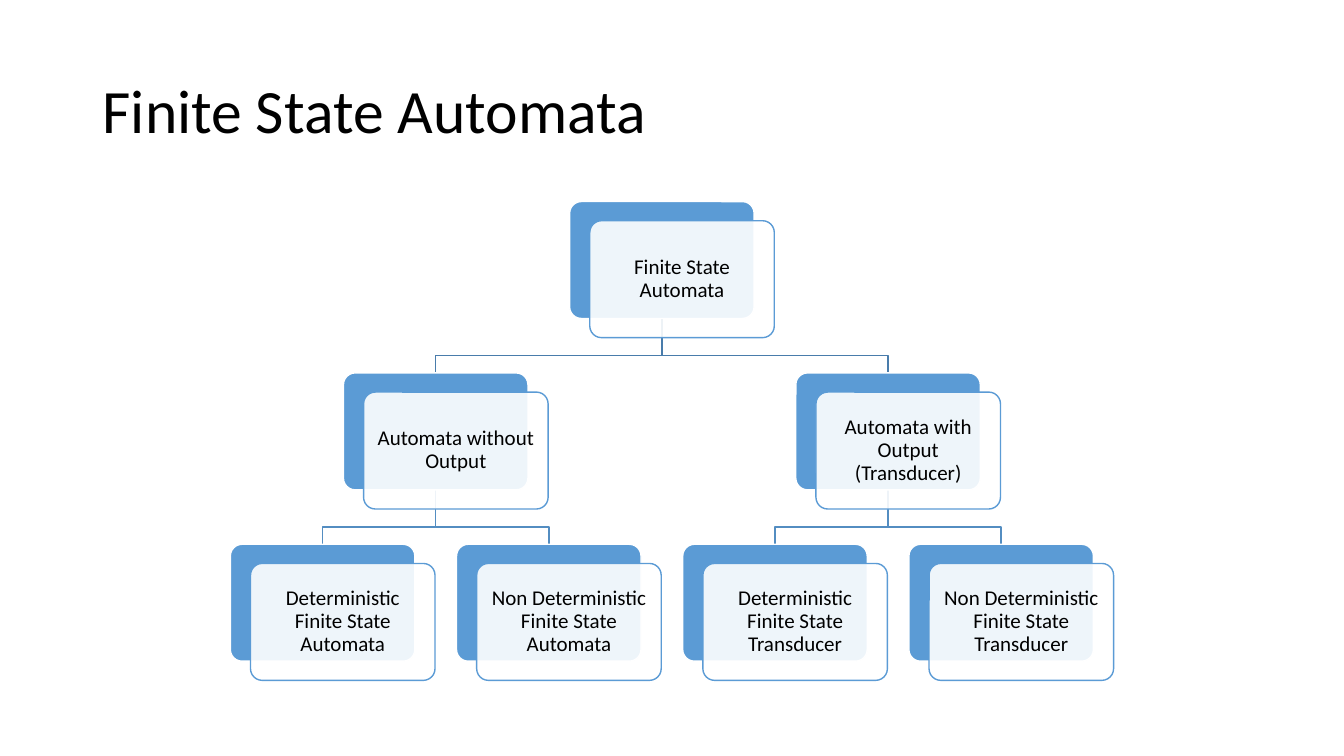
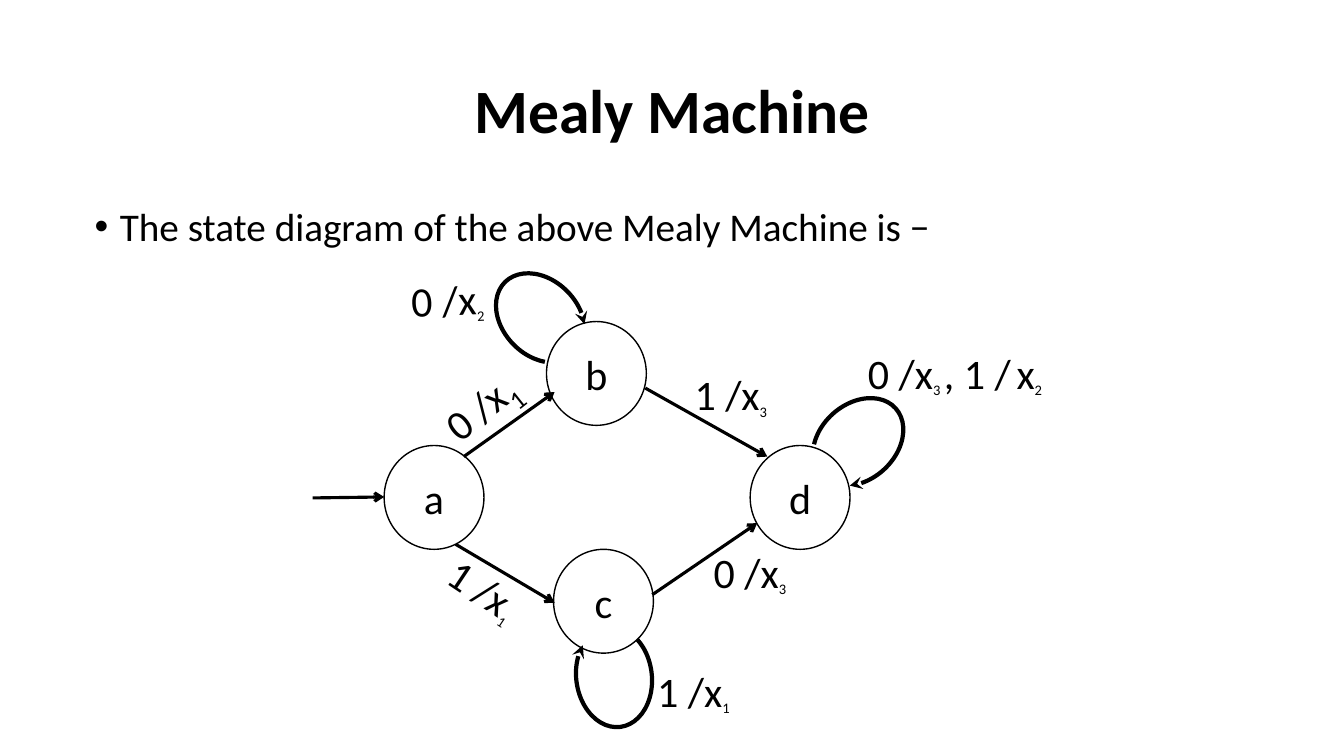
"""Two slides on finite state automata: a classification tree and a Mealy machine."""
from lxml import etree
from pptx import Presentation
from pptx.dml.color import RGBColor
from pptx.enum import shapes, text
from pptx.oxml.ns import qn
from pptx.util import Inches, Pt

BLACK = RGBColor(0x00, 0x00, 0x00)
WHITE = RGBColor(0xFF, 0xFF, 0xFF)
BLUE = RGBColor(0x5B, 0x9B, 0xD5)
LINK_COLORS = [RGBColor(0x49, 0x7C, 0xAB), RGBColor(0x53, 0x8D, 0xC1)]
FONT = "Calibri"
SHAPE = shapes.MSO_SHAPE
CENTER = text.PP_ALIGN.CENTER
MIDDLE = text.MSO_ANCHOR.MIDDLE

TITLE_BOX = (0.92, 0.4, 11.5, 1.45)
TREE_TITLE = "Finite State Automata"
TREE = [
    ["Finite State Automata"],
    ["Automata without Output", "Automata with Output (Transducer)"],
    ["Deterministic Finite State Automata", "Non Deterministic Finite State Automata",
     "Deterministic Finite State Transducer", "Non Deterministic Finite State Transducer"],
]
FIRST_LEAF, LAST_LEAF = 3.2, 9.93
TREE_TOP, LEVEL_STEP = 2, 1.7
CARD_W, CARD_H = 1.83, 1.16
CARD_DX, CARD_DY = 0.2, 0.19
ELBOW = 0.37

MEALY_TITLE = "Mealy Machine"
MEALY_INTRO = "The state diagram of the above Mealy Machine is −"
STATE_W, STATE_H = 0.99, 1.03
STATES = {"a": (3.81, 4.42), "b": (5.42, 3.19), "c": (5.49, 5.45), "d": (7.44, 4.42)}
ARROWS = [
    (3.1, 4.94, 3.81, 4.93),
    (4.6, 4.53, 5.5, 3.89),
    (6.4, 3.85, 7.61, 4.53),
    (4.52, 5.4, 5.5, 5.98),
    (6.47, 5.9, 7.51, 5.19),
]
LOOP_W, LOOP_H = 1, 0.75
LOOP_ADJUST = (23.26, 193.55)
LOOPS = [(4.86, 2.78, 45.5), (8.01, 4.01, 138.2), (5.59, 6.34, 262.8)]
LABEL_SIZE, SUB_SIZE, SUB_BASE = 30, 18, -25


def sub(digit, size=SUB_SIZE):
    return digit, size, SUB_BASE


LABELS = [
    ((4.27, 3.69, 1.01, 0.64), 321.6, ["0 /x", sub("1", 32)]),
    ((4.34, 5.55, 0.94, 0.61), 33.7, ["1 /x", sub("1")]),
    ((3.98, 2.67, 0.94, 0.61), 357.3, ["0 /x", sub("2")]),
    ((6.42, 6.55, 0.94, 0.61), 0, ["1 /x", sub("1")]),
    ((6.98, 5.37, 0.94, 0.61), 0, ["0 /x", sub("3")]),
    ((6.79, 3.61, 0.94, 0.61), 0, ["1 /x", sub("3")]),
    ((8.51, 3.4, 2, 0.61), 0,
     ["0 /x", sub("3 "), ", 1 /", (" ", SUB_SIZE, 0), "x", sub("2")]),
]


def write(sp, runs, size, bold=False, align=None, anchor=None, spacing=None,
          inset=None, wrap=True, bullet=None):
    """Fill a shape with one paragraph; a run is a string or (text, size, baseline)."""
    tf = sp.text_frame
    tf.word_wrap = wrap
    if not wrap:
        tf.auto_size = text.MSO_AUTO_SIZE.SHAPE_TO_FIT_TEXT
    if anchor is not None:
        tf.vertical_anchor = anchor
    if inset is not None:
        tf.margin_left = tf.margin_right = tf.margin_top = tf.margin_bottom = Inches(inset)
    p = tf.paragraphs[0]
    if bullet:
        pPr = p._p.get_or_add_pPr()
        pPr.set("marL", str(Inches(0.25)))
        pPr.set("indent", str(Inches(-0.25)))
        etree.SubElement(pPr, qn("a:buFont")).set("typeface", "Arial")
        etree.SubElement(pPr, qn("a:buChar")).set("char", bullet)
    if align is not None:
        p.alignment = align
    if spacing is not None:
        p.line_spacing = spacing
    for run in [runs] if isinstance(runs, str) else runs:
        content, run_size, base = (run, size, 0) if isinstance(run, str) else run
        r = p.add_run()
        r.text = content
        r.font.name = FONT
        r.font.size = Pt(run_size)
        r.font.bold = bold
        r.font.color.rgb = BLACK
        if base:
            r._r.get_or_add_rPr().set("baseline", str(base * 1000))


def add_text(slide, box, runs, size, **fmt):
    sp = slide.shapes.add_textbox(*map(Inches, box))
    write(sp, runs, size, **fmt)
    return sp


def add_slide(prs, title, **fmt):
    slide = prs.slides.add_slide(prs.slide_layouts[6])
    add_text(slide, TITLE_BOX, title, 44, anchor=MIDDLE, spacing=0.9, **fmt)
    return slide


def style(sp, line, width, fill=None, alpha=None):
    sp.shadow.inherit = False
    sp.line.color.rgb = line
    sp.line.width = Pt(width)
    if fill is None:
        sp.fill.background()
        return
    sp.fill.solid()
    sp.fill.fore_color.rgb = fill
    if alpha:
        color = sp._element.spPr.find(qn("a:solidFill")).find(qn("a:srgbClr"))
        etree.SubElement(color, qn("a:alpha")).set("val", str(alpha * 1000))


def add_shape(slide, kind, box, **look):
    sp = slide.shapes.add_shape(kind, *map(Inches, box))
    style(sp, **look)
    return sp


def add_head(sp, kind):
    etree.SubElement(sp.line._get_or_add_ln(), qn("a:tailEnd")).set("type", kind)


def add_link(slide, x1, y1, x2, y2, color):
    """Draw an elbow line from a parent card to a child card."""
    bend = y1 + ELBOW
    points = [(Inches(x), Inches(y)) for x, y in [(x1, bend), (x2, bend), (x2, y2)]]
    path = slide.shapes.build_freeform(Inches(x1), Inches(y1))
    path.add_line_segments(points, close=False)
    style(path.convert_to_shape(), color, 1)


def add_card(slide, center, top, label):
    left = center - CARD_W / 2
    back = (left, top, CARD_W, CARD_H)
    front = (left + CARD_DX, top + CARD_DY, CARD_W, CARD_H)
    looks = [dict(line=WHITE, fill=BLUE), dict(line=BLUE, fill=WHITE, alpha=90)]
    for box, look in zip((back, front), looks):
        sp = add_shape(slide, SHAPE.ROUNDED_RECTANGLE, box, width=1, **look)
        sp.adjustments[0] = 0.1
    write(sp, label, 15, align=CENTER, anchor=MIDDLE, spacing=0.9, inset=0.09)


def tree_slide(prs):
    slide = add_slide(prs, TREE_TITLE)
    step = (LAST_LEAF - FIRST_LEAF) / (len(TREE[-1]) - 1)
    centers = [[FIRST_LEAF + i * step for i in range(len(TREE[-1]))]]
    while len(centers[0]) > 1:
        row = centers[0]
        centers.insert(0, [(a + b) / 2 for a, b in zip(row[::2], row[1::2])])
    tops = [TREE_TOP + i * LEVEL_STEP for i in range(len(TREE))]
    for level, color in enumerate(LINK_COLORS):
        for i, child in enumerate(centers[level + 1]):
            add_link(slide, centers[level][i // 2], tops[level] + CARD_H,
                     child, tops[level + 1], color)
    for labels, row, top in zip(TREE, centers, tops):
        for label, center in zip(labels, row):
            add_card(slide, center, top, label)


def mealy_slide(prs):
    slide = add_slide(prs, MEALY_TITLE, bold=True, align=CENTER)
    add_text(slide, (0.84, 2.01, 11.5, 0.6), MEALY_INTRO, 28, spacing=0.9, bullet="•")
    for name, (x, y) in STATES.items():
        sp = add_shape(slide, SHAPE.OVAL, (x, y, STATE_W, STATE_H), line=BLACK, width=1)
        write(sp, name, LABEL_SIZE, align=CENTER, anchor=MIDDLE, inset=0)
    for ends in ARROWS:
        cx = slide.shapes.add_connector(shapes.MSO_CONNECTOR.STRAIGHT, *map(Inches, ends))
        cx.line.color.rgb = BLACK
        cx.line.width = Pt(2.25)
        add_head(cx, "arrow")
        etree.SubElement(cx._element.spPr, qn("a:effectLst"))
    for x, y, angle in LOOPS:
        sp = add_shape(slide, SHAPE.ARC, (x, y, LOOP_W, LOOP_H), line=BLACK, width=3)
        sp.adjustments[0], sp.adjustments[1] = LOOP_ADJUST
        sp.rotation = angle
        add_head(sp, "stealth")
    for box, angle, runs in LABELS:
        add_text(slide, box, runs, LABEL_SIZE, wrap=False).rotation = angle


def main():
    prs = Presentation()
    prs.slide_width, prs.slide_height = Inches(13.33), Inches(7.5)
    tree_slide(prs)
    mealy_slide(prs)
    prs.save("out.pptx")


if __name__ == "__main__":
    main()
